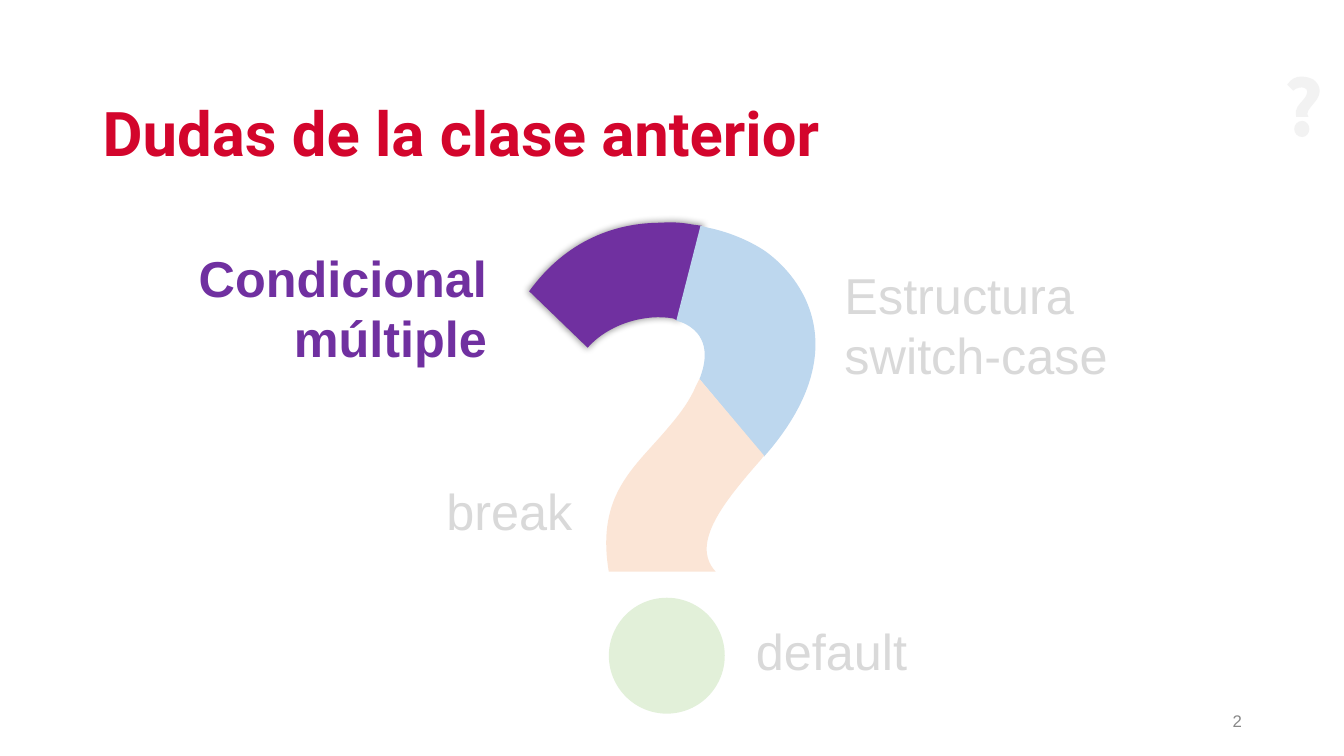
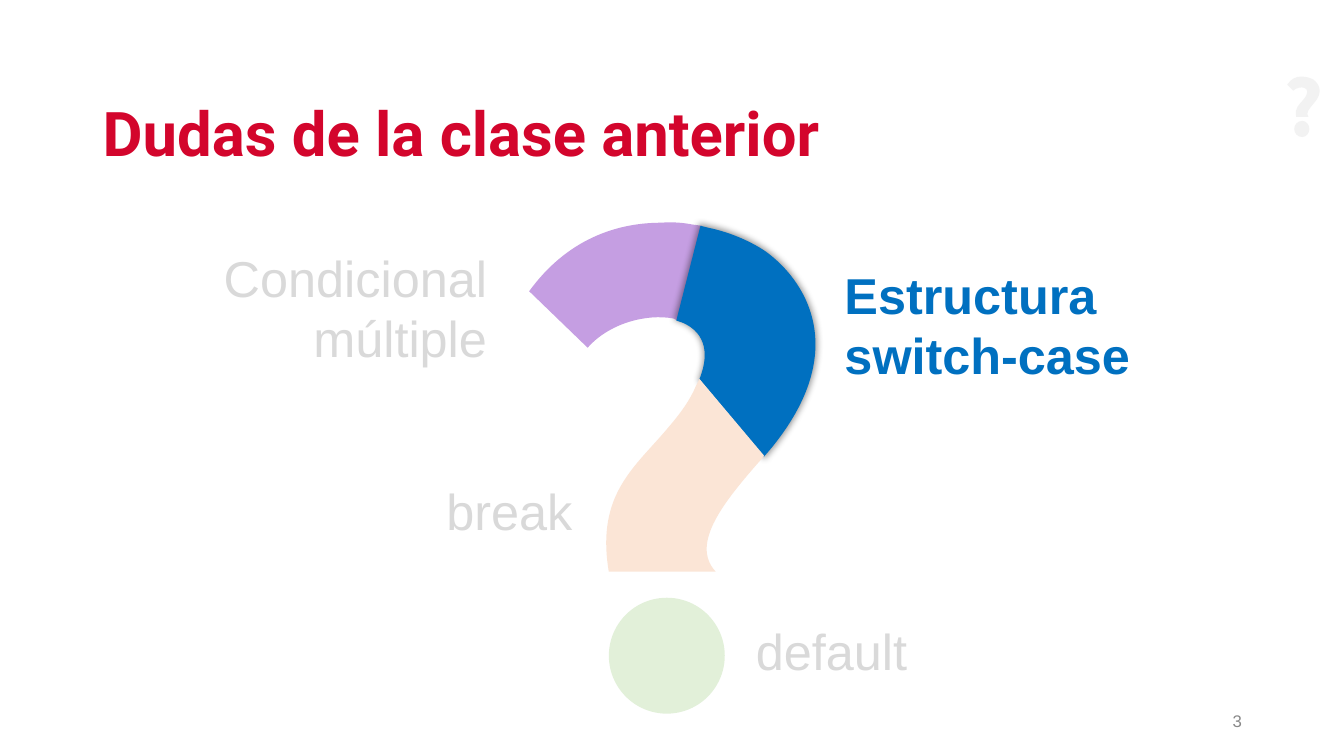
from dataclasses import dataclass

from lxml.etree import SubElement
from pptx import Presentation
from pptx.dml.color import RGBColor
from pptx.enum.shapes import MSO_SHAPE
from pptx.enum.text import MSO_ANCHOR, MSO_AUTO_SIZE, PP_ALIGN
from pptx.oxml.ns import qn
from pptx.util import Inches, Pt


@dataclass(frozen=True)
class Theme:
    """Colours, fonts and type sizes shared by the slides."""

    title_font: str = "Roboto"
    body_font: str = "Arial"
    title_size: int = 44
    label_size: int = 36
    number_size: int = 12
    title: str = "D3052C"
    number: str = "888888"
    muted: str = "D9D9D9"
    corner_mark: str = "F2F2F2"
    shadow: str = "000000"


@dataclass(frozen=True)
class Topic:
    """A labelled piece of the large question mark; no outline means an oval."""

    label: str
    label_box: tuple
    piece_box: tuple
    pale: str
    bright: str
    outline: tuple = ()
    align: PP_ALIGN = PP_ALIGN.LEFT


THEME = Theme()
TITLE = "Dudas de la clase anterior"
FIRST_NUMBER = 2
SEGMENT_TAGS = {1: "a:lnTo", 3: "a:cubicBezTo"}

CORNER_BOX = (12.77, 0.76, 0.32, 0.6)
CORNER_DOT = (
    (12.92, 1.2),
    (12.96, 1.2, 12.99, 1.24, 12.99, 1.28),
    (12.99, 1.32, 12.96, 1.36, 12.92, 1.36),
    (12.87, 1.36, 12.84, 1.32, 12.84, 1.28),
    (12.84, 1.24, 12.87, 1.2, 12.92, 1.2),
)
CORNER_HOOK = (
    (12.91, 0.76),
    (12.97, 0.76, 13.01, 0.78, 13.03, 0.79),
    (13.08, 0.83, 13.14, 0.91, 13.03, 1.03),
    (12.99, 1.08, 12.95, 1.12, 12.98, 1.16),
    (12.86, 1.16),
    (12.84, 1.07, 12.89, 1.04, 12.93, 0.99),
    (13.04, 0.86, 12.89, 0.84, 12.83, 0.9),
    (12.77, 0.84),
    (12.81, 0.78, 12.86, 0.76, 12.91, 0.76),
)
HOOK_START = (
    (6.56, 2.21),
    (6.67, 2.2, 6.78, 2.21, 6.88, 2.23),
    (6.96, 2.24),
    (6.72, 3.18),
    (6.68, 3.16),
    (6.41, 3.11, 6.04, 3.21, 5.83, 3.45),
    (5.25, 2.89),
    (5.62, 2.38, 6.11, 2.21, 6.56, 2.21),
)
HOOK_BEND = (
    (6.95, 2.24),
    (7.03, 2.26),
    (7.27, 2.31, 7.47, 2.41, 7.59, 2.49),
    (7.97, 2.76, 8.47, 3.46, 7.64, 4.46),
    (7.58, 4.53),
    (6.94, 3.76),
    (6.94, 3.76),
    (7.06, 3.46, 6.96, 3.28, 6.77, 3.2),
    (6.71, 3.18),
)
HOOK_STEM = (
    (6.94, 3.76),
    (7.58, 4.52),
    (7.55, 4.56),
    (7.2, 4.96, 6.84, 5.39, 7.1, 5.67),
    (6.04, 5.67),
    (5.91, 4.89, 6.31, 4.63, 6.64, 4.23),
    (6.76, 4.09, 6.85, 3.96, 6.9, 3.84),
)

TOPICS = (
    Topic("Condicional múltiple", (1.74, 2.4, 3.19, 1.31), (5.25, 2.21, 1.71, 1.24),
          "C59EE2", "7030A0", HOOK_START, PP_ALIGN.RIGHT),
    Topic("Estructura switch-case", (8.28, 2.57, 3.54, 1.31), (6.71, 2.24, 1.37, 2.29),
          "BDD7EE", "0070C0", HOOK_BEND),
    Topic("break", (4.33, 4.71, 3.36, 0.71), (6.01, 3.76, 1.57, 1.91),
          "FBE5D6", "FBE5D6", HOOK_STEM),
    Topic("default", (7.4, 6.1, 3.36, 0.71), (6.04, 5.93, 1.15, 1.15), "E2F0D9", "E2F0D9"),
)
ACTIVE_TOPICS = TOPICS[:2]


def paint(shape, color):
    """Give a shape a plain fill with no line and no shadow."""
    shape.shadow.inherit = False
    shape.fill.solid()
    shape.fill.fore_color.rgb = RGBColor.from_string(color)
    shape.line.fill.background()


def add_glow_shadow(shape):
    """Add a soft, slightly enlarged shadow to a painted shape."""
    effects = shape.element.spPr.find(qn("a:effectLst"))
    shadow = SubElement(effects, qn("a:outerShdw"), blurRad=str(Pt(5)), sx="102000",
                        sy="102000", algn="ctr", rotWithShape="0")
    color = SubElement(shadow, qn("a:srgbClr"), val=THEME.shadow)
    SubElement(color, qn("a:alpha"), val="40000")


def add_segment(geometry, tag, coordinates, origin):
    """Append one move, line or curve, measured from the shape's corner."""
    segment = SubElement(geometry, qn(tag))
    for x, y in zip(coordinates[::2], coordinates[1::2]):
        SubElement(segment, qn("a:pt"), x=str(Inches(x) - origin[0]), y=str(Inches(y) - origin[1]))


def add_outline(shapes, box, outlines, color):
    """Draw closed outlines of lines and curves as one filled freeform."""
    left, top, width, height = map(Inches, box)
    builder = shapes.build_freeform(left, top, scale=1.0)
    builder.add_line_segments([(left + width, top + height)])
    piece = builder.convert_to_shape()
    geometry = next(piece.element.iter(qn("a:path")))
    for segment in list(geometry):
        geometry.remove(segment)
    for start, *segments in outlines:
        add_segment(geometry, "a:moveTo", start, (left, top))
        for coordinates in segments:
            add_segment(geometry, SEGMENT_TAGS[len(coordinates) // 2], coordinates, (left, top))
        SubElement(geometry, qn("a:close"))
    paint(piece, color)
    return piece


def add_oval(shapes, box, color):
    """Draw a filled oval."""
    oval = shapes.add_shape(MSO_SHAPE.OVAL, *map(Inches, box))
    paint(oval, color)
    return oval


def add_text(slide, text, box, size, color, font=THEME.body_font, bold=False,
             align=PP_ALIGN.LEFT, anchor=MSO_ANCHOR.TOP):
    """Add a wrapping one-paragraph text box and return its frame."""
    frame = slide.shapes.add_textbox(*map(Inches, box)).text_frame
    frame.word_wrap = True
    frame.vertical_anchor = anchor
    paragraph = frame.paragraphs[0]
    paragraph.text = text
    paragraph.alignment = align
    paragraph.font.name = font
    paragraph.font.size = Pt(size)
    paragraph.font.bold = bold
    paragraph.font.color.rgb = RGBColor.from_string(color)
    return frame


def add_frame(slide, number):
    """Add the title, slide number and corner mark."""
    title = add_text(slide, TITLE, (0.92, 0.93, 11.5, 0.86), THEME.title_size, THEME.title,
                     THEME.title_font, bold=True, anchor=MSO_ANCHOR.MIDDLE)
    title.paragraphs[0].line_spacing = 0.9
    add_text(slide, str(number), (9.42, 6.95, 3, 0.4), THEME.number_size, THEME.number,
             align=PP_ALIGN.RIGHT, anchor=MSO_ANCHOR.MIDDLE)
    add_outline(slide.shapes, CORNER_BOX, (CORNER_DOT, CORNER_HOOK), THEME.corner_mark)


def add_question_mark(slide, active):
    """Draw the grouped question mark with the active topic's piece lit."""
    pieces = slide.shapes.add_group_shape().shapes
    for topic in TOPICS:
        color = topic.bright if topic is active else topic.pale
        if topic.outline:
            piece = add_outline(pieces, topic.piece_box, (topic.outline,), color)
        else:
            piece = add_oval(pieces, topic.piece_box, color)
        if topic is active:
            add_glow_shadow(piece)


def add_labels(slide, active):
    """Add the topic labels with the active one bold and coloured."""
    for topic in TOPICS:
        lit = topic is active
        label = add_text(slide, topic.label, topic.label_box, THEME.label_size,
                         topic.bright if lit else THEME.muted, bold=lit, align=topic.align)
        label.auto_size = MSO_AUTO_SIZE.SHAPE_TO_FIT_TEXT


def main():
    """Build one slide for each active topic and save the deck."""
    deck = Presentation()
    deck.slide_width, deck.slide_height = Inches(40 / 3), Inches(7.5)
    for number, active in enumerate(ACTIVE_TOPICS, FIRST_NUMBER):
        slide = deck.slides.add_slide(deck.slide_layouts[6])
        add_frame(slide, number)
        add_question_mark(slide, active)
        add_labels(slide, active)
    deck.save("out.pptx")


if __name__ == "__main__":
    main()
